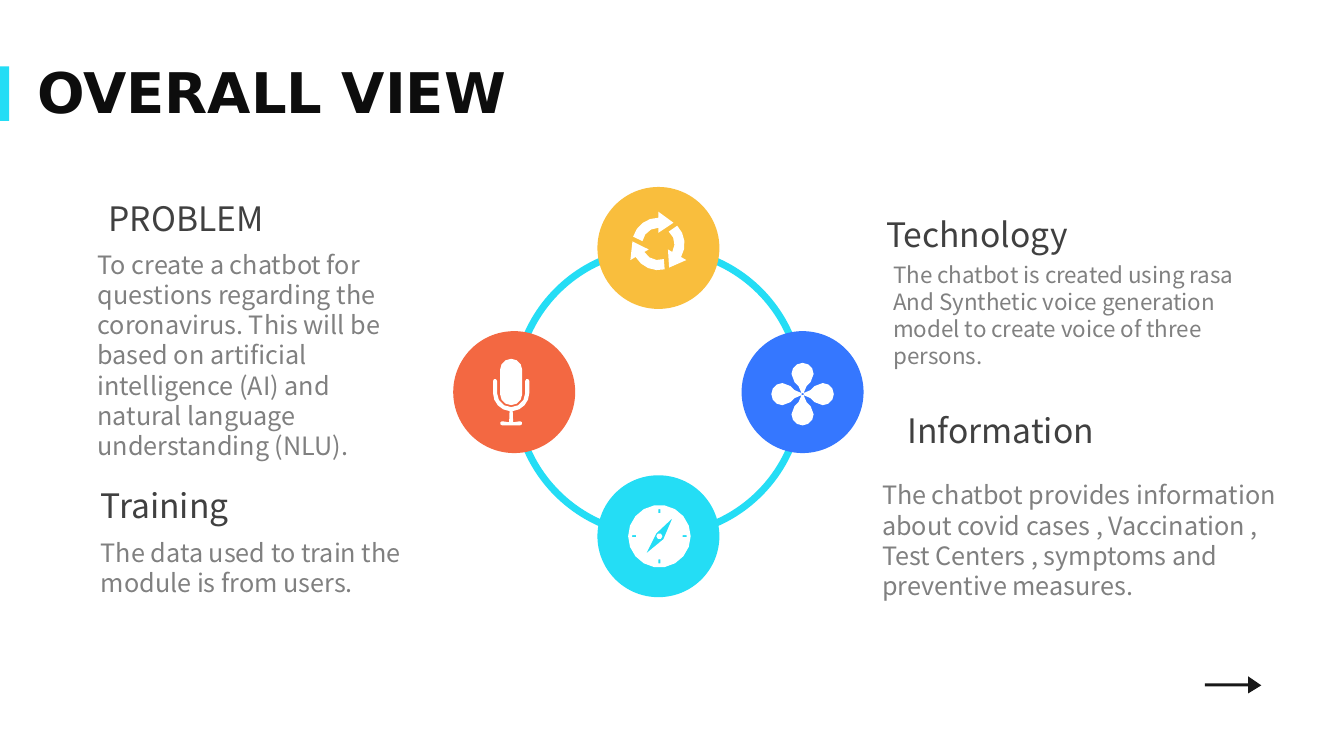
from dataclasses import dataclass
from math import acos, ceil, cos, degrees, radians, sin

from pptx import Presentation
from pptx.dml.color import RGBColor
from pptx.enum import shapes, text
from pptx.util import Inches, Pt

WHITE = RGBColor(0xFF, 0xFF, 0xFF)
INK = RGBColor(0x0D, 0x0D, 0x0D)
ARROW_INK = RGBColor(0x18, 0x18, 0x18)
HEADING = RGBColor(0x40, 0x40, 0x40)
BODY = RGBColor(0x80, 0x80, 0x80)
CYAN = RGBColor(0x24, 0xDD, 0xF5)
ORANGE = RGBColor(0xF3, 0x68, 0x42)
YELLOW = RGBColor(0xF9, 0xBE, 0x3D)
BLUE = RGBColor(0x35, 0x77, 0xFF)
SANS = "Noto Sans CJK SC"

Point = tuple[float, float]
Outline = list[Point]


@dataclass
class Label:
    words: str
    left: float
    top: float
    width: float
    height: float
    size: int
    color: RGBColor = BODY
    tight: bool = True
    wrap: bool = True
    grow: bool = True
    font: str = SANS
    bold: bool = False


@dataclass
class Node:
    dx: int
    dy: int
    color: RGBColor
    icon_center: Point
    icon: list[Outline]


def arc(x: float, y: float, radius: float, start: float, end: float) -> Outline:
    """Fewest points that keep an arc smooth; degrees run clockwise from the right."""
    widest = 2 * degrees(acos(1 - 0.005 / radius))
    steps = ceil(abs(end - start) / widest)
    angles = [radians(start + (end - start) * i / steps) for i in range(steps + 1)]
    return [(x + radius * cos(a), y + radius * sin(a)) for a in angles]


def turned(outline: Outline, count: int) -> list[Outline]:
    """Copies of an outline spread evenly around the origin."""
    turns = [radians(360 * i / count) for i in range(count)]
    return [[(x * cos(a) - y * sin(a), x * sin(a) + y * cos(a)) for x, y in outline]
            for a in turns]


def recycle_icon() -> list[Outline]:
    arrow = ([(0, -0.32)] + arc(0, 0, 0.26, 270, 196) + arc(0, 0, 0.16, 190, 270)
             + [(0, -0.11), (0.15, -0.21)])
    return turned(arrow, 3)


def microphone_icon() -> list[Outline]:
    capsule = arc(0, -0.22, 0.11, 180, 360) + arc(0, 0.02, 0.11, 0, 180)
    stand = (arc(0, 0.01, 0.18, 180, 95) + [(-0.02, 0.3)]
             + arc(-0.09, 0.31, 0.02, 270, 90) + arc(0.09, 0.31, 0.02, 90, -90)
             + [(0.02, 0.3)] + arc(0, 0.01, 0.18, 85, 0)
             + arc(0.16, -0.11, 0.02, 0, -180) + arc(0, 0.01, 0.14, 0, 180)
             + arc(-0.16, -0.11, 0.02, 0, -180))
    return [capsule, stand]


def compass_icon() -> list[Outline]:
    needle = [(0.13, -0.18), (0.04, 0.03), (-0.13, 0.17), (-0.03, -0.03)]
    tick = [(-0.01, -0.27), (0.01, -0.27), (0.01, -0.23), (-0.01, -0.23)]
    return [arc(0, 0, 0.31, 0, 360), needle, arc(0, 0, 0.03, 0, 360)] + turned(tick, 4)


def petals_icon() -> list[Outline]:
    flank = [(0.08, -0.12), (0.04, -0.08), (0.01, -0.01)]
    mirrored = [(-x, y) for x, y in reversed(flank)]
    return turned(mirrored + arc(0, -0.2, 0.11, 180, 360) + flank, 4)


def add_preset(page, kind, left: float, top: float, width: float, height: float):
    shape = page.shapes.add_shape(
        kind, Inches(left), Inches(top), Inches(width), Inches(height))
    shape.shadow.inherit = False
    return shape


def paint(shape, color: RGBColor) -> None:
    shape.fill.solid()
    shape.fill.fore_color.rgb = color
    shape.line.fill.background()


def add_outlines(page, outlines: list[Outline], center: Point, color: RGBColor) -> None:
    builder = None
    for outline in outlines:
        points = [(Inches(center[0] + x), Inches(center[1] + y)) for x, y in outline]
        if builder is None:
            builder = page.shapes.build_freeform(*points[0])
        else:
            builder.move_to(*points[0])
        builder.add_line_segments(points[1:], close=True)
    shape = builder.convert_to_shape()
    shape.shadow.inherit = False
    paint(shape, color)


def add_label(page, label: Label) -> None:
    box = page.shapes.add_textbox(Inches(label.left), Inches(label.top),
                                  Inches(label.width), Inches(label.height))
    frame = box.text_frame
    frame.word_wrap = label.wrap
    if label.grow:
        frame.auto_size = text.MSO_AUTO_SIZE.SHAPE_TO_FIT_TEXT
    if label.tight:
        frame.vertical_anchor = text.MSO_ANCHOR.MIDDLE
        frame.margin_left = frame.margin_right = Inches(0.03)
        frame.margin_top = frame.margin_bottom = Inches(0.03)
    para = frame.paragraphs[0]
    para.text = label.words
    para.font.size = Pt(label.size)
    para.font.name = label.font
    para.font.bold = label.bold
    para.font.color.rgb = label.color


SIDE_LABELS = [
    Label("Training", 0.97, 4.78, 1.34, 0.46, 24, HEADING, wrap=False),
    Label("The data used to train the module is from users.",
          0.97, 5.3, 3.43, 0.66, 18),
    Label("Technology", 8.76, 2.09, 1.9, 0.46, 24, HEADING, wrap=False),
    Label("The chatbot is created using rasa And Synthetic voice generation model to "
          "create voice of three persons.", 8.83, 2.56, 3.47, 1.13, 16),
    Label("Information", 8.97, 4.04, 1.96, 0.46, 24, HEADING, wrap=False),
]

FRONT_LABELS = [
    Label("The chatbot provides information about covid cases , Vaccination , Test "
          "Centers , symptoms and preventive measures.",
          8.65, 4.71, 4.2, 1.62, 18, tight=False),
    Label("PROBLEM", 0.98, 1.91, 2.16, 0.5, 24, HEADING, tight=False),
    Label("To create a chatbot for questions regarding the coronavirus. This will be "
          "based on artificial intelligence (AI) and natural language understanding "
          "(NLU).", 0.87, 2.42, 3.37, 2.22, 18, tight=False),
]

TITLE = Label("OVERALL VIEW", 0.34, 0.35, 12.64, 1.1, 40, INK, grow=False,
              font="DejaVu Sans", bold=True)

NODES = [
    Node(0, -1, YELLOW, (6.53, 2.42), recycle_icon()),
    Node(-1, 0, ORANGE, (5.07, 3.89), microphone_icon()),
    Node(0, 1, CYAN, (6.54, 5.32), compass_icon()),
    Node(1, 0, BLUE, (7.96, 3.91), petals_icon()),
]

deck = Presentation()
deck.slide_width, deck.slide_height = Inches(13.33), Inches(7.5)
page = deck.slides.add_slide(deck.slide_layouts[6])

for label in SIDE_LABELS:
    add_label(page, label)

# Ring with four icon nodes
CENTER_X, CENTER_Y, RING, ORBIT, DISC = 6.53, 3.89, 2.84, 1.43, 1.21
ring = add_preset(page, shapes.MSO_SHAPE.OVAL, CENTER_X - RING / 2,
                  CENTER_Y - RING / 2, RING, RING)
ring.fill.background()
ring.line.color.rgb = CYAN
ring.line.width = Pt(5)
for node in NODES:
    disc = add_preset(page, shapes.MSO_SHAPE.OVAL,
                      CENTER_X + node.dx * ORBIT - DISC / 2,
                      CENTER_Y + node.dy * ORBIT - DISC / 2, DISC, DISC)
    paint(disc, node.color)
for node in NODES:
    add_outlines(page, node.icon, node.icon_center, WHITE)

# Title with accent bar
add_label(page, TITLE)
paint(add_preset(page, shapes.MSO_SHAPE.RECTANGLE, -0.03, 0.66, 0.12, 0.54), CYAN)

# Next-page arrow
next_arrow = [(0.56, 0), (0.43, -0.09), (0.43, -0.02), (0, -0.02),
              (0, 0.01), (0.43, 0.01), (0.43, 0.08)]
add_outlines(page, [next_arrow], (11.95, 6.8), ARROW_INK)

for label in FRONT_LABELS:
    add_label(page, label)

deck.save("out.pptx")
